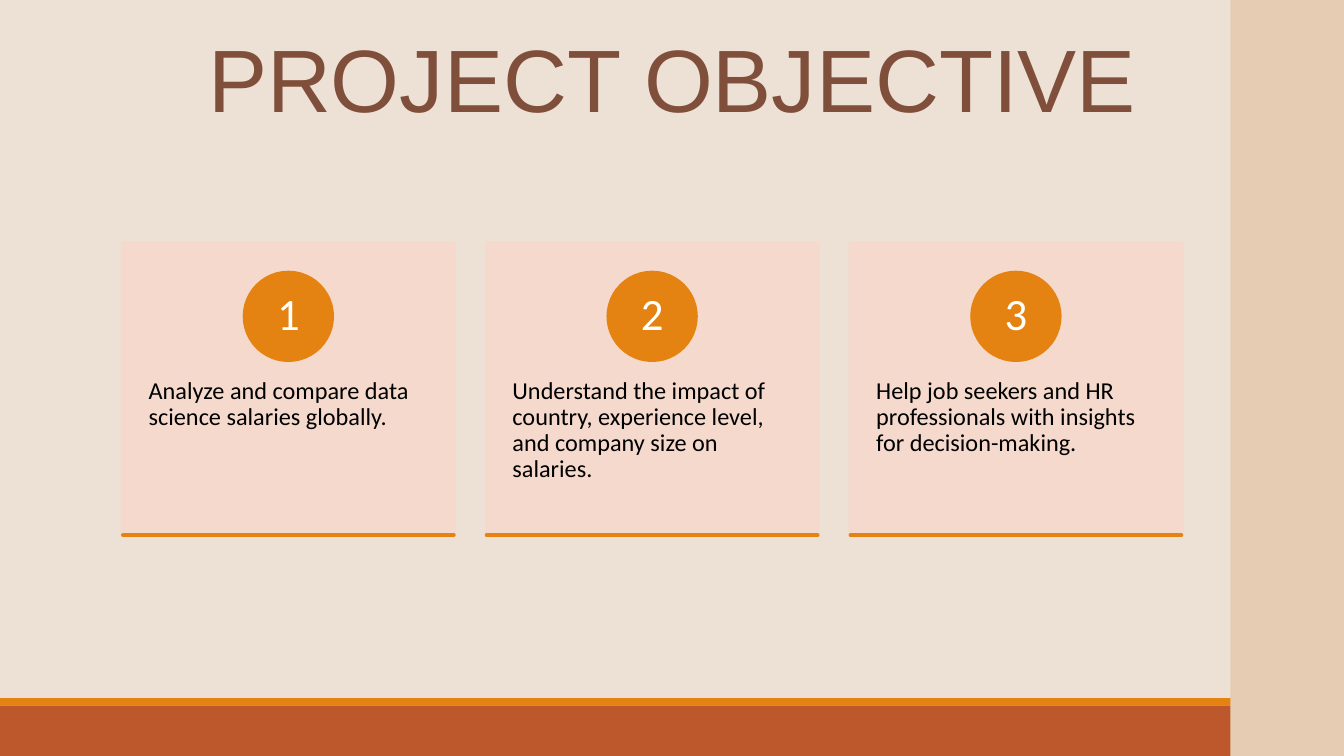
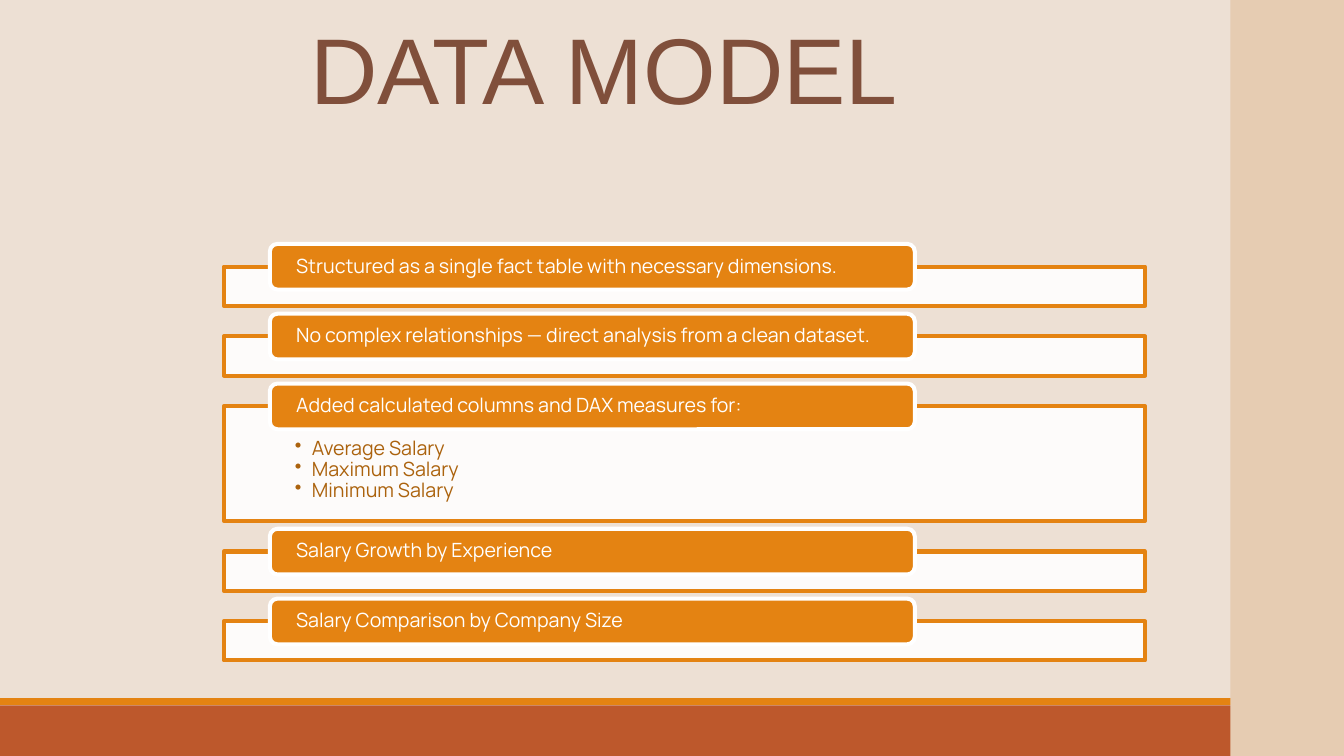
from dataclasses import dataclass

from lxml import etree
from pptx import Presentation
from pptx.dml.color import RGBColor
from pptx.enum import shapes, text
from pptx.oxml.ns import qn
from pptx.util import Cm, Pt


@dataclass(frozen=True)
class Theme:
    ground: str = "EDE0D4"
    strip: str = "E6CCB2"
    rust: str = "BD582C"
    amber: str = "E48312"
    brown: str = "804F3B"
    blush: str = "F5D9CC"
    ochre: str = "AB620D"
    white: str = "FFFFFF"
    black: str = "000000"
    head: str = "Arial"
    card: str = "Calibri"
    row: str = "Manrope"
    lead: float = 100
    digit: float = 48
    body: float = 26
    label: float = 21
    edge: float = 4.33


T = Theme()
RECT = shapes.MSO_SHAPE.RECTANGLE
LEFT, MID = text.PP_ALIGN.LEFT, text.PP_ALIGN.CENTER
TOP, CENTER = text.MSO_ANCHOR.TOP, text.MSO_ANCHOR.MIDDLE


def draw(slide, kind, box, fill, line=None, clear=()):
    """Add a shape; the parts named in clear are 90% opaque."""
    shape = slide.shapes.add_shape(kind, *[Cm(n) for n in box])
    shape.shadow.inherit = False
    shape.fill.solid()
    shape.fill.fore_color.rgb = RGBColor.from_string(fill)
    if line:
        shape.line.color.rgb = RGBColor.from_string(line)
        shape.line.width = Pt(T.edge)
    else:
        shape.line.fill.background()
    props = shape.element.spPr
    for part in clear:
        tone = props.find(part, props.nsmap).find(qn("a:srgbClr"))
        etree.SubElement(tone, qn("a:alpha")).set("val", "90000")
    return shape


def write(shape, lines, font, size, color, inset=(0, 0, 0, 0), anchor=TOP,
          align=LEFT, space=0.9, dots=False):
    """Fill a shape with one paragraph a line; inset is left, top, right, bottom."""
    frame = shape.text_frame
    frame.word_wrap = True
    frame.auto_size = text.MSO_AUTO_SIZE.NONE
    frame.vertical_anchor = anchor
    (frame.margin_left, frame.margin_top,
     frame.margin_right, frame.margin_bottom) = [Cm(n) for n in inset]
    for i, line in enumerate(lines):
        para = frame.add_paragraph() if i else frame.paragraphs[0]
        if dots:
            para.level = 1
            props = para._p.get_or_add_pPr()
            props.set("marL", str(Cm(0.64)))
            props.set("indent", str(-Cm(0.64)))
            etree.SubElement(props, qn("a:buChar")).set("char", "•")
        para.alignment = align
        para.line_spacing = space
        run = para.add_run()
        run.text = line
        run.font.name = font
        run.font.size = Pt(size)
        run.font.color.rgb = RGBColor.from_string(color)


deck = Presentation()
deck.slide_width, deck.slide_height = Cm(50.8), Cm(28.58)
base = deck.slide_layouts[5]

# Slides and titles
heads = [
    ("PROJECT OBJECTIVE", 94.9, (4.93, 1.4, 40.97, 3.63)),
    ("DATA MODEL", 100, (2.34, 1.14, 40.97, 3.68)),
]
pages = []
for words, size, box in heads:
    page = deck.slides.add_slide(base)
    title = page.shapes.title
    title.left, title.top, title.width, title.height = [Cm(n) for n in box]
    write(title, [words], T.head, size, T.brown, align=MID, space=Pt(T.lead))
    pages.append(page)
goals, model = pages

# Shared ground, bands and side strip, kept on the layout
base.background.fill.solid()
base.background.fill.fore_color.rgb = RGBColor.from_string(T.ground)
bands = [
    ((0, 26.67, 50.8, 1.91), T.rust),
    ((0, 26.39, 50.8, 0.26), T.amber),
    ((46.51, 0, 4.29, 28.58), T.strip),
]
for i, (box, tone) in enumerate(bands):
    band = draw(goals, RECT, box, tone).element
    band.nvSpPr.cNvPr.set("id", str(20 + i))
    base.shapes.element.insert(2 + i, band)

# Three goal cards
aims = [
    "Analyze and compare data science salaries globally.",
    "Understand the impact of country, experience level, and company size on salaries.",
    "Help job seekers and HR professionals with insights for decision-making.",
]
wide, high, top, disc = 12.5, 11.03, 9.2, 3.3
for i, aim in enumerate(aims):
    left = 4.65 + i * 13.75
    card = draw(goals, RECT, (left, top, wide, high), T.blush, T.blush,
                ("a:solidFill", "a:ln/a:solidFill"))
    write(card, [aim], T.card, T.body, T.black, (0.97, 5.1, 0.97, 0.9))
    badge = draw(goals, shapes.MSO_SHAPE.OVAL,
                 (left + (wide - disc) / 2, top + 1.11, disc, disc), T.amber, T.amber)
    write(badge, [str(i + 1)], T.card, T.digit, T.white, anchor=CENTER, align=MID)
    foot = Cm(top + high)
    rule = goals.shapes.add_connector(shapes.MSO_CONNECTOR.STRAIGHT,
                                      Cm(left), foot, Cm(left + wide), foot)
    rule.line.color.rgb = RGBColor.from_string(T.amber)
    rule.line.width = Pt(T.edge)
    props = rule.element.spPr
    props.find(qn("a:ln")).set("cap", "rnd")
    etree.SubElement(props, qn("a:effectLst"))

# Model rows: a frame with a tab on its upper edge
rows = [
    ("Structured as a single fact table with necessary dimensions.", []),
    ("No complex relationships — direct analysis from a clean dataset.", []),
    ("Added calculated columns and DAX measures for:",
     ["Average Salary", "Maximum Salary", "Minimum Salary"]),
    ("Salary Growth by Experience", []),
    ("Salary Comparison by Company Size", []),
]
left, top, gap = 8.46, 10.08, 1.16
for label, items in rows:
    high = 4.33 if items else 1.48
    frame = draw(model, RECT, (left, top, 34.82, high), T.white, T.amber,
                 ("a:solidFill",))
    if items:
        write(frame, items, T.row, T.label, T.ochre, (2.69, 1.22, 2.69, 0.4), dots=True)
    tab = draw(model, shapes.MSO_SHAPE.ROUNDED_RECTANGLE,
               (left + 1.74, top - 0.86, 24.38, 1.73), T.amber, T.white)
    write(tab, [label], T.row, T.label, T.white, (0.91, 0, 0.91, 0), CENTER)
    top += high + gap

deck.save("out.pptx")
